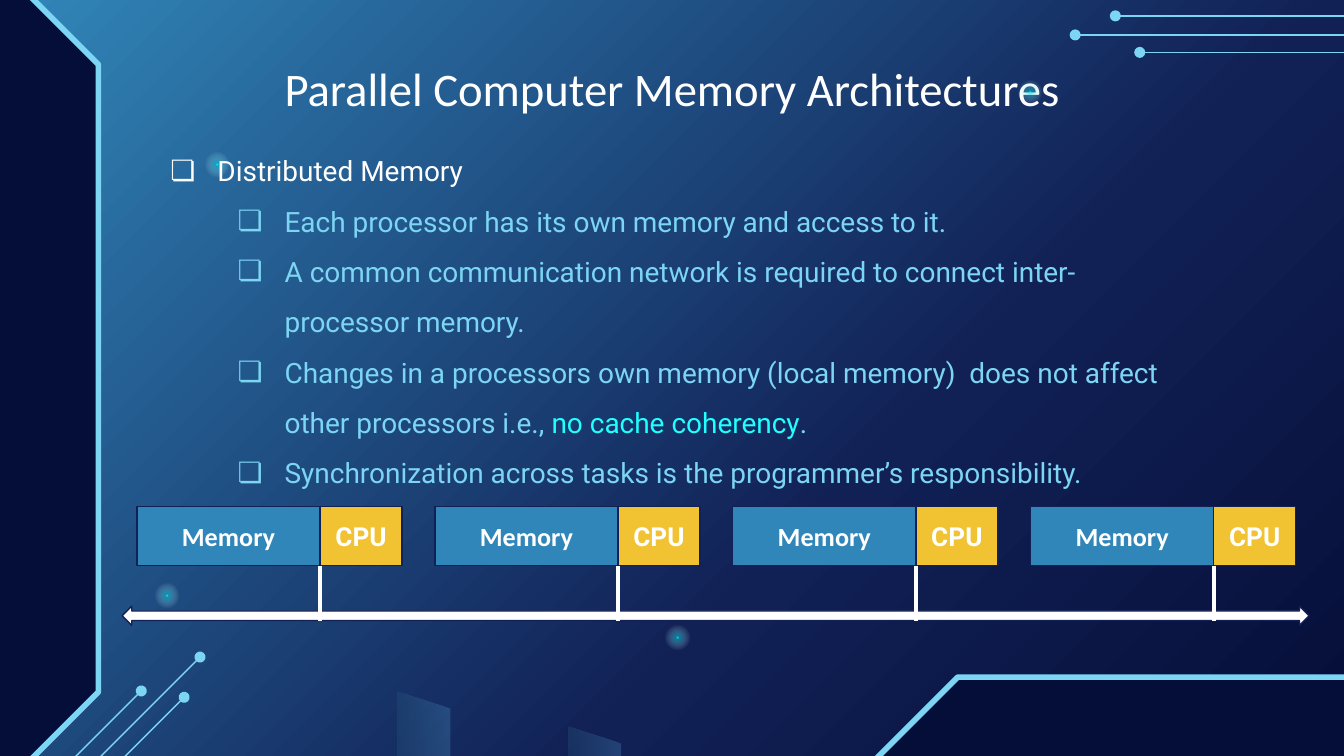
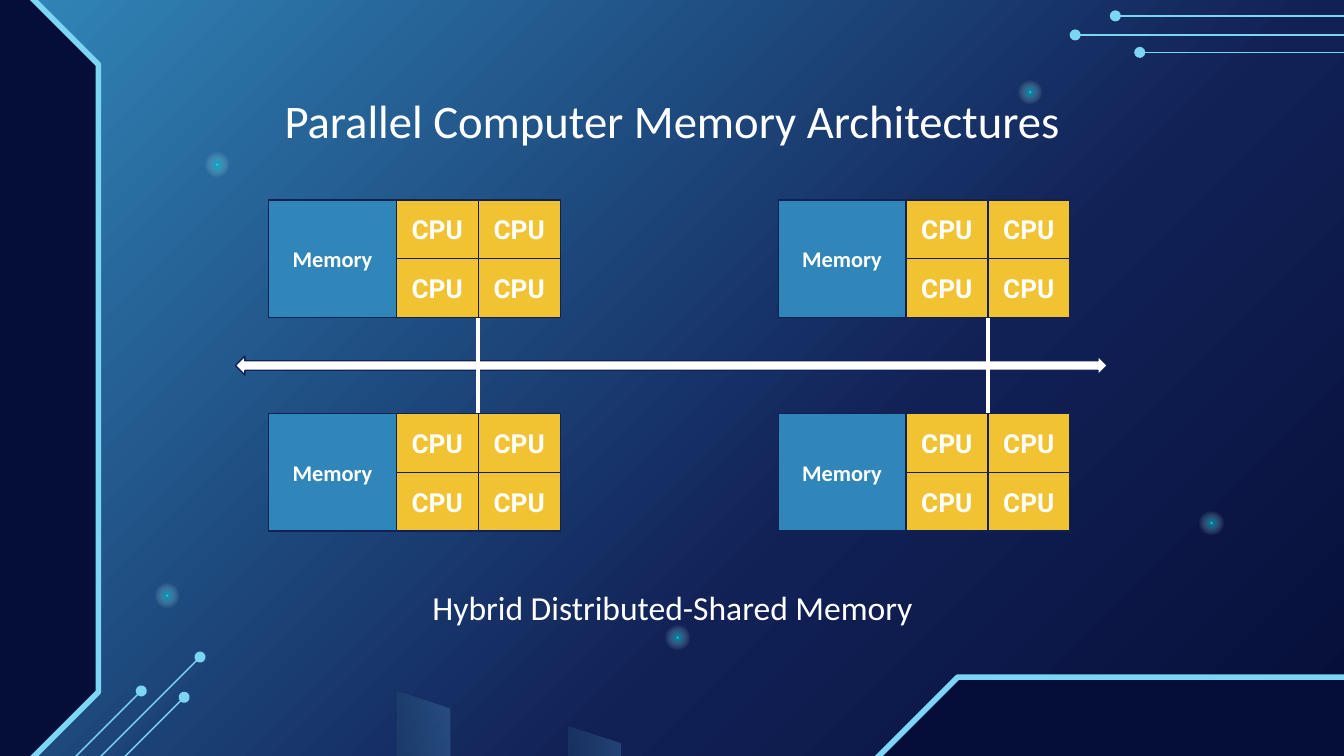
from lxml.etree import SubElement as Sub
from pptx import Presentation
from pptx.dml.color import RGBColor
from pptx.enum.shapes import MSO_CONNECTOR as Link, MSO_SHAPE as Kind
from pptx.enum.text import MSO_ANCHOR as Anchor, MSO_AUTO_SIZE as Auto, PP_ALIGN as Align
from pptx.oxml.ns import qn
from pptx.util import Cm, Pt

WIDE, HIGH = 25.4, 14.29
WHITE, SKY, CYAN = "FFFFFF", "7CD5F3", "21FFFF"
BLUE, NAVY, NIGHT, GOLD = "3186B9", "112055", "050E38", "F1C232"
SANS, BODY = "Calibri", "Roboto"
TITLE = "Parallel Computer Memory Architectures"
CPU_W, CPU_H = 1.55, 1.11

BACK = [(0, BLUE, 100), (64, NAVY, 100), (100, NIGHT, 100)]
GLOW = [(0, CYAN, 100), (9, "05D8E7", 48), (69, WHITE, 0), (100, WHITE, 0)]
PILLAR = [(0, "59A4D3", 25), (100, "2A5F80", 25)]

POINTS = [
    (0, [("Distributed Memory", WHITE)]),
    (1, [("Each processor has its own memory and access to it.", SKY)]),
    (1, [("A common communication network is required to connect "
          "inter-processor memory.", SKY)]),
    (1, [("Changes in a processors own memory (local memory)  does not affect "
          "other processors i.e., ", SKY),
         ("no cache coherency", CYAN), (".", SKY)]),
    (1, [("Synchronization across tasks is the programmer’s responsibility.", SKY)]),
]


def paint(color, code):
    color.rgb = RGBColor.from_string(code)


def blend(fill, root, stops, angle=None):
    """Gradient of (position, colour, opacity) stops; radial without an angle."""
    fill.gradient()
    grad = next(root.iter(qn("a:gradFill")))
    grad.clear()
    grad.set("rotWithShape", "1")
    group = Sub(grad, qn("a:gsLst"))
    for pos, code, alpha in stops:
        stop = Sub(group, qn("a:gs"), pos=str(pos * 1000))
        color = Sub(stop, qn("a:srgbClr"), val=code)
        if alpha < 100:
            Sub(color, qn("a:alpha"), val=str(alpha * 1000))
    if angle is None:
        way = Sub(grad, qn("a:path"))
        way.set("path", "circle")
        Sub(way, qn("a:fillToRect"), l="50000", t="50000", r="50000", b="50000")
    else:
        Sub(grad, qn("a:lin"), ang=str(angle * 60000), scaled="0")


def place(shape, x, y, w, h):
    shape.left, shape.top, shape.width, shape.height = map(Cm, (x, y, w, h))


def add(slide, kind, box, fill=None, line=None, width=0.75):
    shape = slide.shapes.add_shape(kind, *map(Cm, box))
    shape.shadow.inherit = False
    if fill:
        shape.fill.solid()
        paint(shape.fill.fore_color, fill)
    if line:
        paint(shape.line.color, line)
        shape.line.width = Pt(width)
    else:
        shape.line.fill.background()
    return shape


def join(slide, start, end, code, width, dot=False):
    line = slide.shapes.add_connector(Link.STRAIGHT, *map(Cm, (*start, *end)))
    paint(line.line.color, code)
    line.line.width = Pt(width)
    if dot:
        Sub(line.line._get_or_add_ln(), qn("a:tailEnd"), type="oval")
    Sub(line._element.spPr, qn("a:effectLst"))


def style(run, size, font, code, bold=False):
    run.font.size, run.font.name, run.font.bold = Pt(size), font, bold
    paint(run.font.color, code)


def setup(frame, anchor):
    frame.word_wrap, frame.auto_size = True, Auto.NONE
    frame.vertical_anchor = anchor
    frame.margin_left = frame.margin_right = Cm(0.25)
    frame.margin_top = frame.margin_bottom = Cm(0.25)


def write(shape, text, size, font=SANS, bold=False):
    """One centred white line."""
    frame = shape.text_frame
    setup(frame, Anchor.MIDDLE)
    frame.text = text
    para = frame.paragraphs[0]
    para.alignment = Align.CENTER
    style(para.runs[0], size, font, WHITE, bold)
    return para


def decor(slide):
    """Glowing dots, corner panels, pillars and circuit lines."""
    for x, y in [(19.23, 1.5), (2.92, 11.02), (12.57, 11.81), (22.66, 9.65), (3.86, 2.87)]:
        dot = add(slide, Kind.OVAL, (x, y, 0.48, 0.48))
        blend(dot.fill, dot._element, GLOW)
    for box, turn in [((16.31, 12.8, 13.18, 3.58), 0), ((-7.65, 5.36, 15.44, 3.58), 90)]:
        panel = add(slide, Kind.SNIP_2_SAME_RECTANGLE, box, NIGHT, SKY, 3)
        panel.adjustments[0], panel.adjustments[1] = 0.5, 0
        panel.rotation = turn
    for x, y in [(3.78, 12.42), (2.67, 13.06), (3.48, 13.18)]:
        join(slide, (x - 4.14, y + 4.14), (x, y), SKY, 0.75, True)
    for x, y in [(7.42, 17.07), (4.19, 16.41)]:
        pillar = add(slide, Kind.TRAPEZOID, (x, y, 7.65, 0.99))
        pillar.adjustments[0] = 0.32
        pillar.rotation = 90
        blend(pillar.fill, pillar._element, PILLAR, 90)
    for x, y in [(20.32, 0.66), (21.54, 0.99), (21.08, 0.3)]:
        join(slide, (x + 5.87, y), (x, y), SKY, 0.75, True)


def start(prs, top):
    """New slide with the shared decoration and its title at the given height."""
    slide = prs.slides.add_slide(prs.slide_layouts[5])
    decor(slide)
    title = slide.shapes.title
    place(title, 1.78, top, 21.84, 1.6)
    write(title, TITLE, 25)
    return slide


def bullets(slide, box):
    frame = slide.shapes.add_textbox(*map(Cm, box)).text_frame
    setup(frame, Anchor.TOP)
    for i, (level, parts) in enumerate(POINTS):
        para = frame.add_paragraph() if i else frame.paragraphs[0]
        para.level, para.line_spacing = level, 1.5
        for text, code in parts:
            run = para.add_run()
            run.text = text
            style(run, 15, BODY, code)
        props = para._p.get_or_add_pPr()
        props.set("marL", str(Cm(1.27 * (level + 1))))
        props.set("indent", str(Cm(-0.89)))
        Sub(Sub(props, qn("a:buClr")), qn("a:srgbClr"), val=parts[0][1])
        Sub(props, qn("a:buFont"), typeface=BODY)
        Sub(props, qn("a:buChar"), char="❏")


def node(slide, x, y, mem, size, rows, cols):
    """Memory block of width mem with a grid of CPUs at its right."""
    block = add(slide, Kind.RECTANGLE, (x, y, mem, rows * CPU_H), BLUE, NAVY)
    write(block, "Memory", size, bold=True)
    for col in range(cols):
        for row in range(rows):
            box = (x + mem + col * CPU_W, y + row * CPU_H, CPU_W, CPU_H)
            write(add(slide, Kind.RECTANGLE, box, GOLD, NAVY), "CPU", 14, BODY, True)


def bus(slide, x, y, w):
    add(slide, Kind.LEFT_RIGHT_ARROW, (x, y, w, 0.36), WHITE, NAVY)


def drop(slide, x, y):
    join(slide, (x, y), (x, y + 1.04), WHITE, 2.25)


def spread(prs):
    """Distributed memory: a row of nodes above one bus."""
    slide = start(prs, 0.86)
    bullets(slide, (2.59, 2.34, 20.24, 10.31))
    left, top, mem = 2.59, 9.58, 3.46
    spots = [left + i * 5.63 for i in range(4)]
    for x in spots:
        node(slide, x, top, mem, 14, 1, 1)
    bus(slide, 2.31, 11.46, 22.43)
    for x in spots:
        drop(slide, x + mem, top + CPU_H)


def hybrid(prs):
    """Hybrid memory: nodes on both sides of one bus."""
    slide = start(prs, 1.47)
    left, top, mem = 5.08, 3.78, 2.41
    spots = [left, left + 9.63]
    bus(slide, 4.45, 6.73, 16.48)
    for x in spots:
        for y in (5.94, 6.81):
            drop(slide, x + mem + CPU_W, y)
    for y in (top, top + 4.04):
        for x in spots:
            node(slide, x, y, mem, 12, 2, 2)
    label = slide.shapes.add_textbox(*map(Cm, (5.92, 10.92, 13.59, 1.12)))
    write(label, "Hybrid Distributed-Shared Memory", 18).space_after = Pt(16)


def main():
    prs = Presentation()
    prs.slide_width, prs.slide_height = Cm(WIDE), Cm(HIGH)
    master = prs.slide_master
    blend(master.background.fill, master._element, BACK, 45)
    spread(prs)
    hybrid(prs)
    prs.save("out.pptx")


if __name__ == "__main__":
    main()
